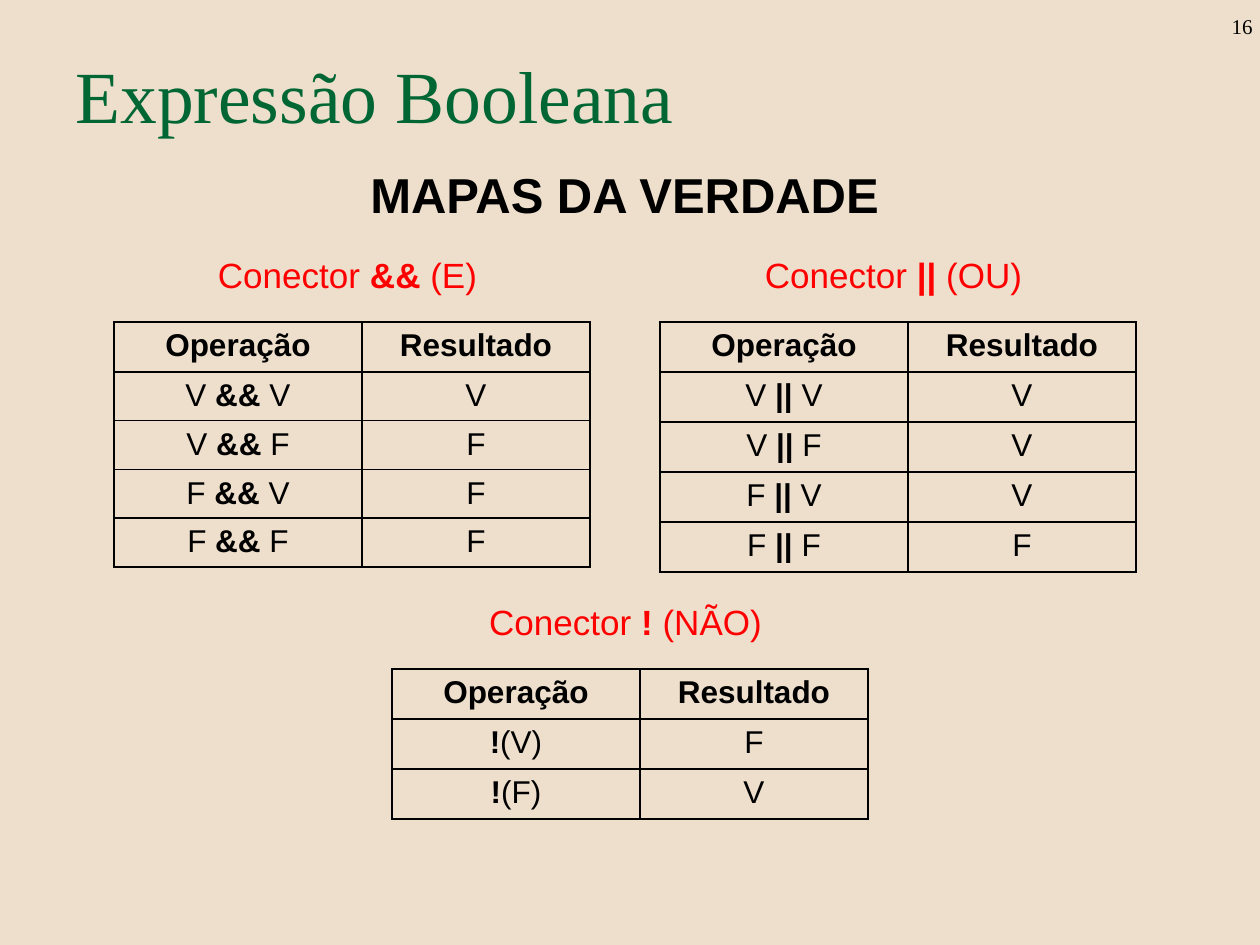
from dataclasses import dataclass

from lxml.etree import SubElement
from pptx import Presentation
from pptx.dml.color import RGBColor as Rgb
from pptx.enum.text import MSO_ANCHOR as Anchor, PP_ALIGN as Align
from pptx.oxml.ns import qn
from pptx.util import Emu, Pt


@dataclass(frozen=True)
class Theme:
    """Colours, fonts and type sizes of the deck."""
    paper: str = "EEDFCC"
    ink: str = "000000"
    green: str = "006633"
    red: str = "FF0000"
    serif: str = "Times New Roman"
    sans: str = "Arial"
    title: int = 42
    heading: int = 28
    caption: int = 20
    body: int = 18
    number: int = 12


THEME = Theme()
HEADER = ("Operação", "Resultado")
COLUMNS = (248, 228)


def px(length):
    """Turn pixels into EMU."""
    return Emu(round(length * 914400 / 126))


def add_span(para, text, size, color, font=THEME.sans, bold=False):
    """Add one formatted run."""
    span = para.add_run()
    span.text = text
    span.font.name = font
    span.font.size = Pt(size)
    span.font.bold = bold
    span.font.color.rgb = Rgb.from_string(color)


def add_expression(para, text, operator, size, color):
    """Add text whose operator is bold."""
    for part in filter(None, text.partition(operator)):
        add_span(para, part, size, color, bold=part == operator)


def add_box(page, left, top, width, height, align=Align.CENTER, spacing=None):
    """Add a wrapping text box and return it with its first paragraph."""
    box = page.shapes.add_textbox(px(left), px(top), px(width), px(height))
    box.text_frame.word_wrap = True
    para = box.text_frame.paragraphs[0]
    para.alignment = align
    para.line_spacing = spacing
    return box, para


def add_title(page, left, top, width, height):
    """Place the title, raised from the bottom of its box."""
    box = page.shapes.title
    box.left, box.top, box.width, box.height = map(px, (left, top, width, height))
    frame = box.text_frame
    frame.vertical_anchor = Anchor.BOTTOM
    frame.margin_bottom = px(46)
    para = frame.paragraphs[0]
    para.alignment = Align.LEFT
    add_span(para, "Expressão Booleana", THEME.title, THEME.green, THEME.serif)


def add_number(page, left, top, width, height):
    """Place the page number."""
    box, para = add_box(page, left, top, width, height, Align.RIGHT)
    box.text_frame.vertical_anchor = Anchor.BOTTOM
    add_span(para, "16", THEME.number, THEME.ink, THEME.serif)


def add_heading(page, left, top, width, height):
    """Place the heading over the truth tables."""
    para = add_box(page, left, top, width, height, spacing=0.9)[1]
    add_span(para, "MAPAS DA VERDADE", THEME.heading, THEME.ink, bold=True)


def frame_cell(cell):
    """Draw thin borders and leave the cell unfilled."""
    properties = cell._tc.get_or_add_tcPr()
    for side in ("a:lnL", "a:lnR", "a:lnT", "a:lnB"):
        line = SubElement(properties, qn(side), w=str(Pt(1)))
        fill = SubElement(line, qn("a:solidFill"))
        SubElement(fill, qn("a:srgbClr"), val=THEME.ink)
    cell.fill.background()
    cell.margin_top, cell.margin_bottom = px(6), px(5)


def add_truth_table(page, left, top, operator, name, results, row_height):
    """Place a caption and the truth table below it."""
    para = add_box(page, left + 30, top - 70, 407, 50, spacing=0.9)[1]
    add_expression(para, f"Conector {operator} ({name})", operator,
                   THEME.caption, THEME.red)
    heights = [50] + [row_height] * len(results)
    table = page.shapes.add_table(len(heights), len(COLUMNS), px(left), px(top),
                                  px(sum(COLUMNS)), px(sum(heights))).table
    table.first_row = table.horz_banding = False
    for column, width in zip(table.columns, COLUMNS):
        column.width = px(width)
    for row, height, texts in zip(table.rows, heights, [HEADER, *results]):
        row.height = px(height)
        for cell, text in zip(row.cells, texts):
            frame_cell(cell)
            para = cell.text_frame.paragraphs[0]
            para.alignment = Align.CENTER
            marked = text if texts is HEADER else operator
            add_expression(para, text, marked, THEME.body, THEME.ink)


def pairs(operator, results):
    """List the four operand pairs with their results."""
    operands = [(a, b) for a in "VF" for b in "VF"]
    return [(f"{a} {operator} {b}", result)
            for (a, b), result in zip(operands, results)]


def main():
    """Build and save the slide."""
    deck = Presentation()
    deck.slide_width, deck.slide_height = px(1260), px(945)
    page = deck.slides.add_slide(deck.slide_layouts[5])
    page.background.fill.solid()
    page.background.fill.fore_color.rgb = Rgb.from_string(THEME.paper)
    add_number(page, 1171, -18, 94, 63)
    add_title(page, 63, 26, 1134, 158)
    add_heading(page, 295, 165, 659, 66)
    add_truth_table(page, 114, 322, "&&", "E", pairs("&&", "VFFF"), 48)
    add_truth_table(page, 660, 322, "||", "OU", pairs("||", "VVVF"), 50)
    add_truth_table(page, 392, 669, "!", "NÃO", [("!(V)", "F"), ("!(F)", "V")], 50)
    deck.save("out.pptx")


if __name__ == "__main__":
    main()
